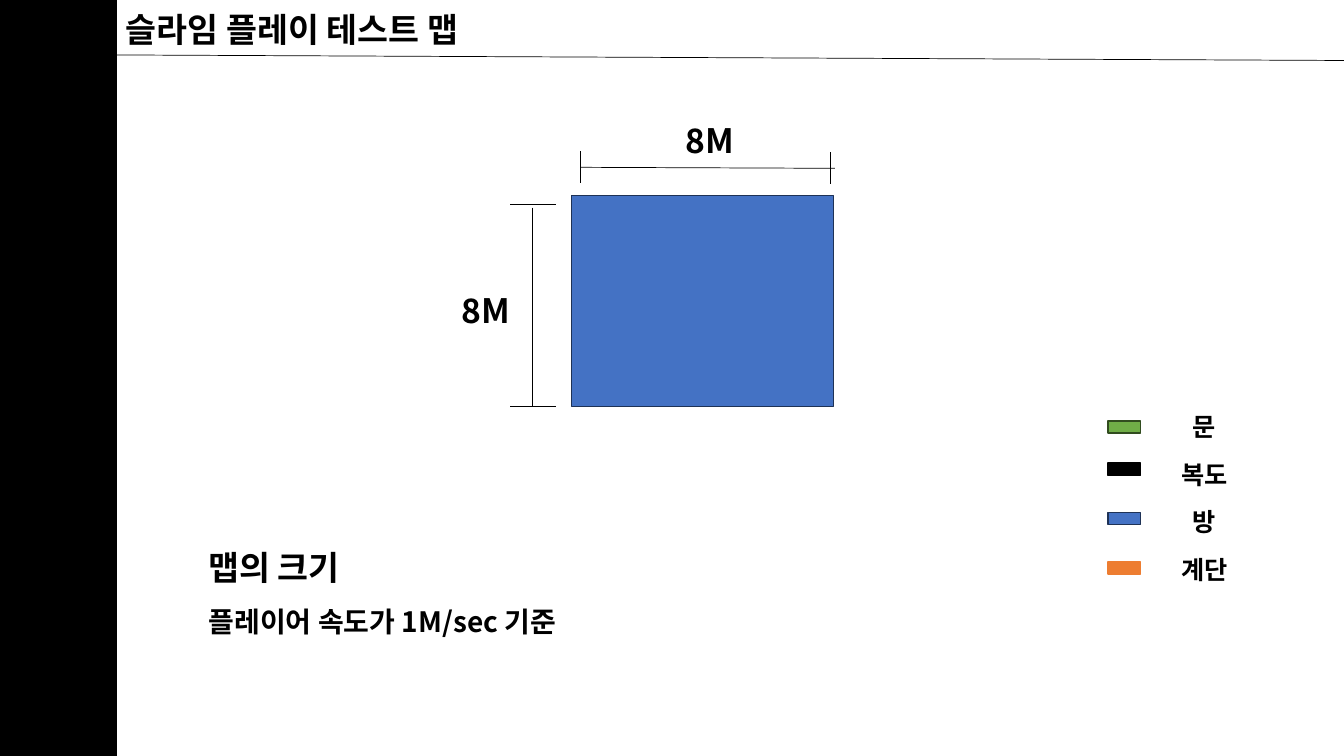
from pptx import Presentation
from pptx.dml.color import RGBColor
from pptx.enum.shapes import MSO_CONNECTOR as CONN, MSO_SHAPE as SHAPE
from pptx.enum.text import MSO_AUTO_SIZE as FIT, PP_ALIGN as ALIGN
from pptx.oxml.ns import qn
from pptx.util import Inches, Pt
from lxml.etree import SubElement

FONT = "Noto Sans CJK KR"
BLACK = RGBColor(0x00, 0x00, 0x00)
BLUE = RGBColor(0x44, 0x72, 0xC4)
NAVY = RGBColor(0x1E, 0x32, 0x56)
GREEN = RGBColor(0x70, 0xAD, 0x47)
DARK_GREEN = RGBColor(0x31, 0x4C, 0x1F)
ORANGE = RGBColor(0xED, 0x7D, 0x31)

# Grid of square cells, 100 to the inch
CELL = Inches(0.01)
COLS, ROWS = 1333, 750

prs = Presentation()
prs.slide_width, prs.slide_height = COLS * CELL, ROWS * CELL
s = prs.slides.add_slide(prs.slide_layouts[6])


def add_rect(x, y, w, h, fill, line):
    sp = s.shapes.add_shape(SHAPE.RECTANGLE, *(int(v * CELL) for v in (x, y, w, h)))
    sp.shadow.inherit = False
    sp.fill.solid()
    sp.fill.fore_color.rgb = fill
    sp.line.color.rgb = line
    sp.line.width = Pt(1)


def add_text(x, y, w, h, text, size, align=ALIGN.LEFT):
    tf = s.shapes.add_textbox(*(int(v * CELL) for v in (x, y, w, h))).text_frame
    tf.word_wrap = False
    tf.auto_size = FIT.SHAPE_TO_FIT_TEXT
    p = tf.paragraphs[0]
    p.text = text
    p.alignment = align
    p.font.size, p.font.bold, p.font.name = Pt(size), True, FONT
    p.font.color.rgb = BLACK
    # Hangul takes the East Asian font
    SubElement(p._p.pPr.find(qn("a:defRPr")), qn("a:ea"), typeface=FONT)


# Header rule and the dimension lines of the room
for x1, y1, x2, y2 in [
    (0, 54, COLS, 60),
    (528, 206, 528, 403), (506, 403, 551, 403), (506, 203, 551, 203),
    (576, 166, 828, 167), (576, 150, 576, 182), (824, 151, 824, 183),
]:
    ln = s.shapes.add_connector(CONN.STRAIGHT, *(v * CELL for v in (x1, y1, x2, y2)))
    ln.line.color.rgb = BLACK
    ln.line.width = Pt(0.5)
    SubElement(ln._element.spPr, qn("a:effectLst"))

# Side bar and room
add_rect(0, 0, 115, ROWS, BLACK, BLACK)
add_rect(567, 194, 260, 209, BLUE, NAVY)

# Title, notes on the map and room dimensions
add_text(115, 4, 393, 50, "슬라임 플레이 테스트 맵", 24)
add_text(197, 538, 167, 50, "맵의 크기", 24)
add_text(197, 595, 400, 44, "플레이어 속도가 1M/sec 기준", 20)
for x, y in [(446, 283), (668, 114)]:
    add_text(x, y, 72, 50, "8M", 24, ALIGN.CENTER)

# Legend
for i, (label, y, fill, line) in enumerate([
    ("문", 417.5, GREEN, DARK_GREEN),
    ("복도", 459.5, BLACK, BLACK),
    ("방", 508.5, BLUE, NAVY),
    ("계단", 557.5, ORANGE, ORANGE),
]):
    add_rect(1099, y, 32, 12, fill, line)
    w = 19 + 26 * len(label)
    add_text(1194.5 - w / 2, 403 + 47.3 * i, w, 40, label, 18, ALIGN.CENTER)

prs.save("out.pptx")
